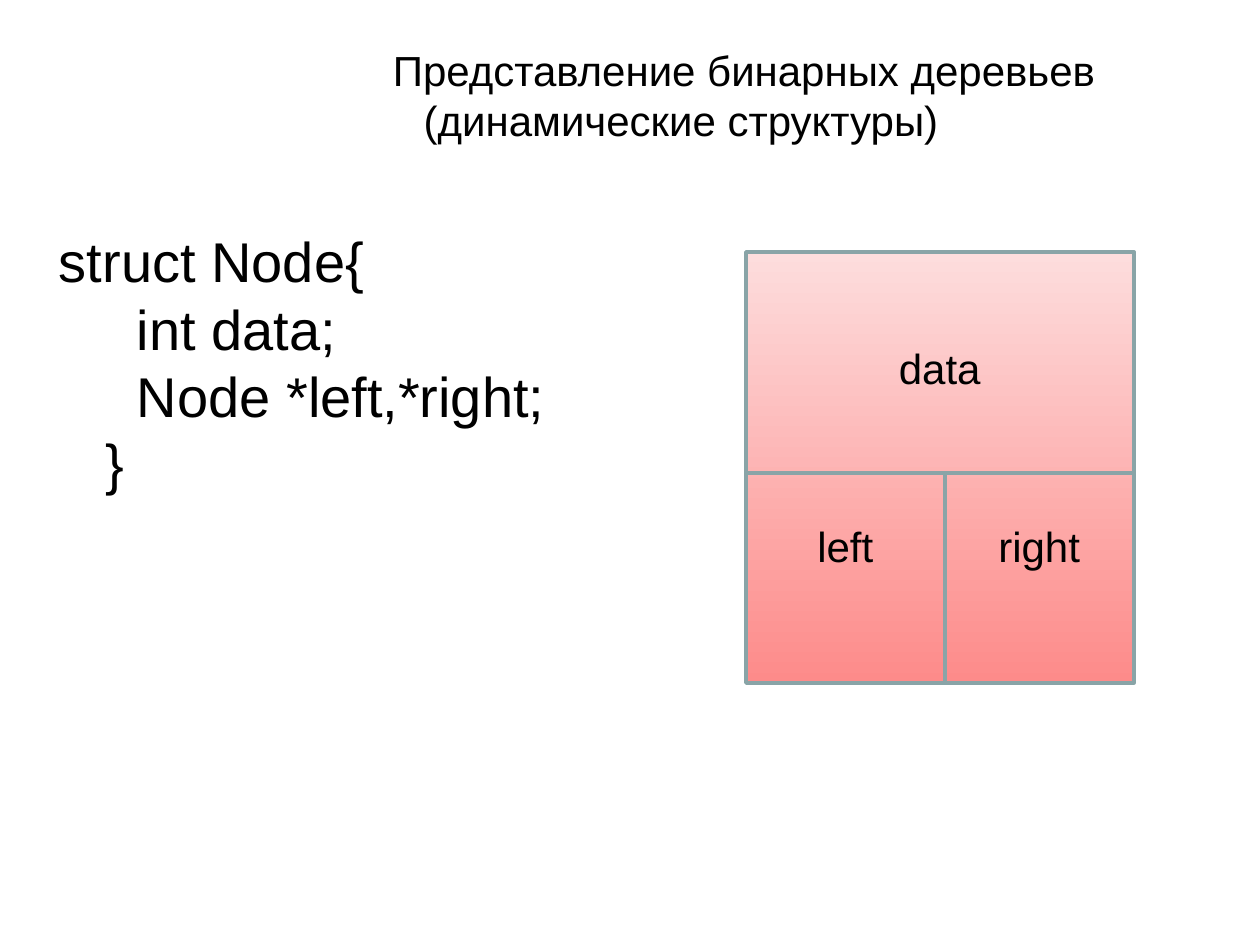
from pptx import Presentation
from pptx import util as u
from pptx.dml.color import RGBColor
from pptx.enum import shapes, text
from pptx.oxml.ns import qn
from lxml import etree

COLORS = {"text": "000000", "line": "89A4A7", "top": "FDDDDD", "bottom": "FD8B8A"}
LINE_WIDTH = u.Pt(2)


def color(name):
    return RGBColor.from_string(COLORS[name])


def add_text(left, top, width, height, lines, size, align, wrap=True):
    """Add a text box in centimetres; lines are (text, left indent) pairs."""
    box = page.shapes.add_textbox(u.Cm(left), u.Cm(top), u.Cm(width), u.Cm(height))
    frame = box.text_frame
    frame.word_wrap = wrap
    frame.text = "\n".join(line for line, _ in lines)
    for para, (_, indent) in zip(frame.paragraphs, lines):
        para.alignment = align
        para._p.get_or_add_pPr().set("marL", str(u.Cm(indent)))
        for span in para.runs:
            span.font.name = "Arial"
            span.font.size = u.Pt(size)
            span.font.color.rgb = color("text")
    return box


deck = Presentation()
deck.slide_width, deck.slide_height = u.Cm(25.4), u.Cm(19.05)
page = deck.slides.add_slide(deck.slide_layouts[6])

# Title, with its first line shifted to the right
title_lines = [("Представление бинарных деревьев", 2.54), ("(динамические структуры)", 0)]
title = add_text(2.06, 0.43, 23.34, 2.97, title_lines, 24, text.PP_ALIGN.CENTER)
title.text_frame.vertical_anchor = text.MSO_ANCHOR.MIDDLE

# Declaration of the node
code_lines = [
    ("struct Node{", 0),
    ("int data;", 1.57),
    ("Node *left,*right;", 1.57),
    ("}", 0.94),
]
add_text(0.94, 4.45, 12.22, 8.56, code_lines, 32, text.PP_ALIGN.LEFT, wrap=False)

# Diagram of the node
left, top, right, bottom = 15.04, 5.08, 22.86, 13.77
split_x, split_y = 19.05, 9.53
node = page.shapes.add_shape(
    shapes.MSO_SHAPE.RECTANGLE, u.Cm(left), u.Cm(top), u.Cm(right - left), u.Cm(bottom - top)
)
node.shadow.inherit = False
node.fill.gradient()
node.fill.gradient_angle = 270
for stop, name in zip(node.fill.gradient_stops, ("top", "bottom")):
    stop.color.rgb = color(name)
node.line.color.rgb = color("line")
node.line.width = LINE_WIDTH

dividers = [(left, split_y, right, split_y), (split_x, bottom, split_x, split_y)]
for ends in dividers:
    divider = page.shapes.add_connector(
        shapes.MSO_CONNECTOR.STRAIGHT, *(u.Cm(end) for end in ends)
    )
    divider.line.color.rgb = color("line")
    divider.line.width = LINE_WIDTH
    etree.SubElement(divider._element.spPr, qn("a:effectLst"))

fields = [
    ("data", 15.45, 6.77, 6.99),
    ("left", 15.45, 10.37, 3.18),
    ("right", 19.47, 10.37, 2.96),
]
for name, field_left, field_top, width in fields:
    add_text(field_left, field_top, width, 1.27, [(name, 0)], 24, text.PP_ALIGN.CENTER)

deck.save("out.pptx")
